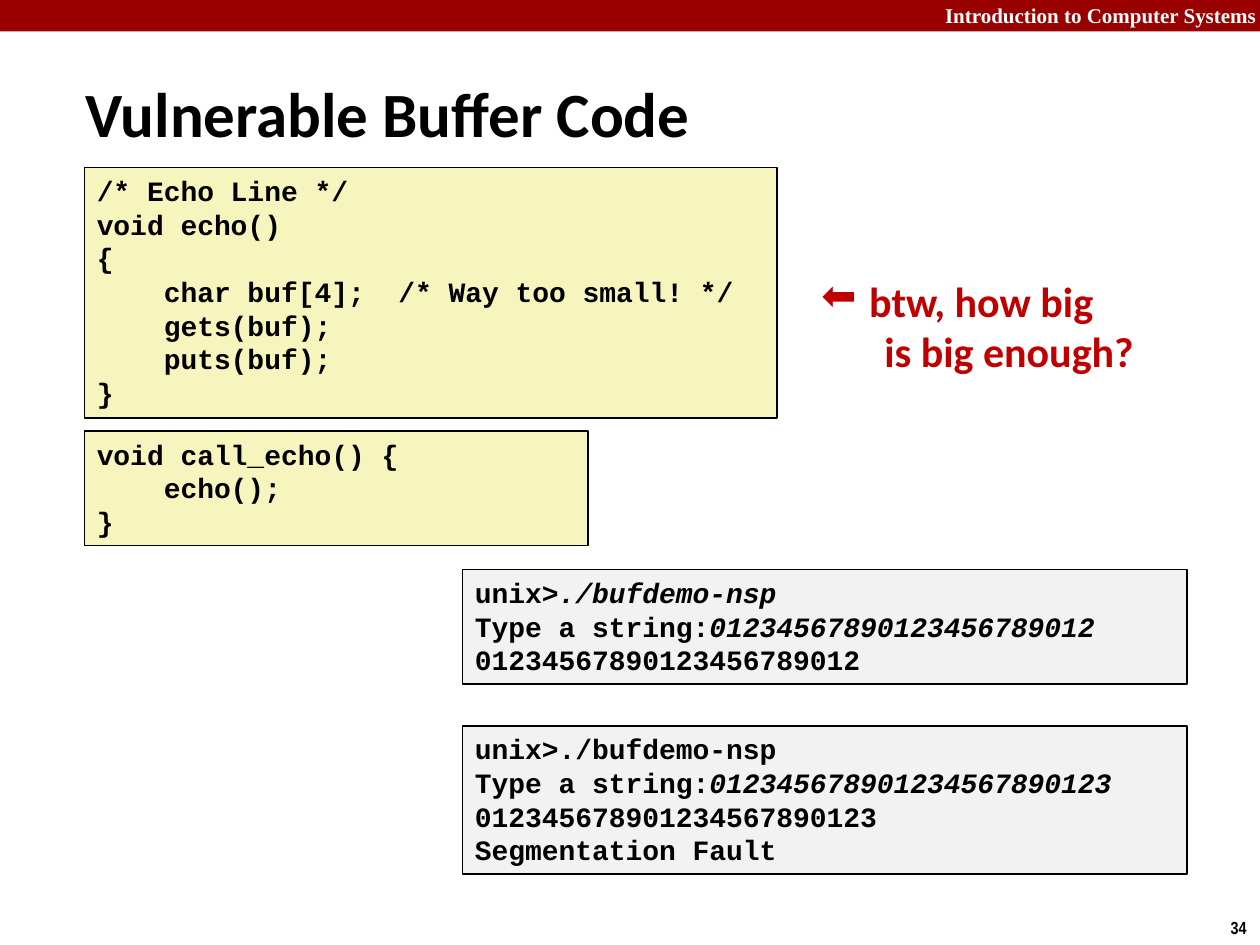
from lxml import etree
from pptx import Presentation
from pptx.dml.color import RGBColor
from pptx.enum import shapes, text
from pptx.oxml.ns import qn
from pptx.util import Inches, Pt

HUES = {"bar": "990000", "code": "F6F5BD", "shell": "F2F2F2",
        "ink": "000000", "white": "FFFFFF", "ask": "C00000"}

# Content: each box line is (plain part, italic part)
ECHO = [("/* Echo Line */", ""), ("void echo()", ""), ("{", ""),
        ("    char buf[4];  /* Way too small! */", ""),
        ("    gets(buf);", ""), ("    puts(buf);", ""), ("}", "")]
CALL = [("void call_echo() {", ""), ("    echo();", ""), ("}", "")]
GOOD = [("unix>", "./bufdemo-nsp"),
        ("Type a string:", "01234567890123456789012"),
        ("01234567890123456789012", "")]
CRASH = [("unix>./bufdemo-nsp", ""),
         ("Type a string:", "012345678901234567890123"),
         ("012345678901234567890123", ""), ("Segmentation Fault", "")]

# Left, top, width, fill, lines
BOXES = [(0.67, 1.33, 5.5, "code", ECHO), (0.67, 3.42, 4, "code", CALL),
         (3.67, 4.52, 5.75, "shell", GOOD), (3.67, 5.76, 5.75, "shell", CRASH)]
LINE, PAD = 0.27, 0.1

# Place, words, font, size, colour, alignment, wrap
LEFT, MID, RIGHT = text.PP_ALIGN.LEFT, text.PP_ALIGN.CENTER, text.PP_ALIGN.RIGHT
LABELS = [
    ((6, -0.03, 4.07, 0.3), ["Introduction to Computer Systems"],
     "Times New Roman", 12, "white", RIGHT, True),
    ((9.66, 7.23, 0.34, 0.27), ["34"], "Arial Narrow", 10, "ink", MID, False),
    ((0.58, 0.58, 7.01, 0.63), ["Vulnerable Buffer Code"],
     "Calibri", 36, "ink", LEFT, True),
    ((6.42, 2.13, 3.21, 0.91), ["btw, how big", "\tis big enough?"],
     "Calibri", 24, "ask", LEFT, False),
]


def rgb(hue):
    return RGBColor.from_string(HUES[hue])


def style(para, face, size, hue, align=LEFT):
    para.alignment = align
    font = para.font
    font.name, font.size, font.bold = face, Pt(size), True
    font.color.rgb = rgb(hue)


def block(slide, place, fill):
    rect = slide.shapes.add_shape(shapes.MSO_SHAPE.RECTANGLE, *map(Inches, place))
    rect.shadow.inherit = False
    rect.fill.solid()
    rect.fill.fore_color.rgb = rgb(fill)
    return rect


def paras(frame, count):
    return [frame.paragraphs[0]] + [frame.add_paragraph() for _ in range(count - 1)]


def code(slide, left, top, width, fill, lines):
    rect = block(slide, (left, top, width, len(lines) * LINE + PAD), fill)
    rect.line.color.rgb = rgb("ink")
    rect.line.width = Pt(1)
    frame = rect.text_frame
    frame.word_wrap = True
    frame.vertical_anchor = text.MSO_ANCHOR.TOP
    for para, (plain, slant) in zip(paras(frame, len(lines)), lines):
        para.add_run().text = plain
        if slant:
            run = para.add_run()
            run.text = slant
            run.font.italic = True
        style(para, "Courier New", 16, "ink")


def label(slide, place, words, face, size, hue, align, wrap):
    frame = slide.shapes.add_textbox(*map(Inches, place)).text_frame
    frame.word_wrap = wrap
    frame.vertical_anchor = text.MSO_ANCHOR.MIDDLE
    for para, line in zip(paras(frame, len(words)), words):
        para.text = line
        if line == "btw, how big":
            bullet(para, "⬅", 0.38)
        style(para, face, size, hue, align)


def bullet(para, sign, hang):
    props = para._p.get_or_add_pPr()
    props.set("marL", str(Inches(hang)))
    props.set("indent", str(-Inches(hang)))
    etree.SubElement(props, qn("a:buChar")).set("char", sign)


def main():
    deck = Presentation()
    deck.slide_width, deck.slide_height = Inches(10), Inches(7.5)
    slide = deck.slides.add_slide(deck.slide_layouts[6])

    # Top bar
    block(slide, (0, 0, 10, 0.25), "bar").line.fill.background()
    # Header, page number, title, question
    for item in LABELS:
        label(slide, *item)
    # Code and shell boxes
    for item in BOXES:
        code(slide, *item)

    deck.save("out.pptx")


if __name__ == "__main__":
    main()
